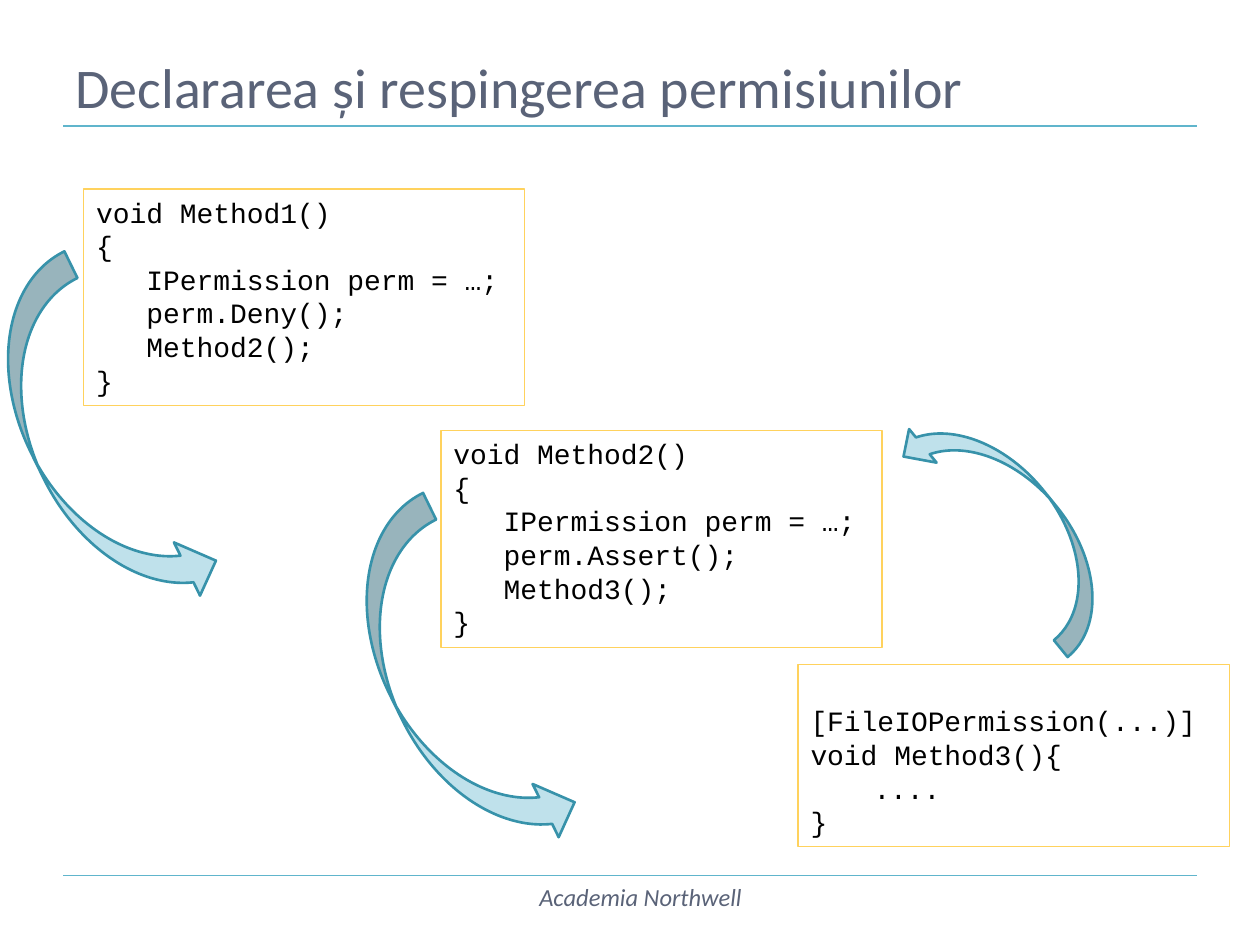
from typing import NamedTuple

from pptx import Presentation
from pptx.dml.color import RGBColor
from pptx.enum.shapes import MSO_CONNECTOR, MSO_SHAPE
from pptx.enum.text import MSO_ANCHOR as ANCHOR, PP_ALIGN as ALIGN
from pptx.oxml.ns import qn
from pptx.util import Cm, Pt
from lxml.etree import SubElement

SLATE = RGBColor(0x5A, 0x63, 0x78)
BLACK = RGBColor(0x00, 0x00, 0x00)
RULE = RGBColor(0x60, 0xB5, 0xCC)
YELLOW = RGBColor(0xFF, 0xD2, 0x5D)
PALE = RGBColor(0xBF, 0xE1, 0xEB)
TEAL = RGBColor(0x37, 0x92, 0xAA)

TITLE = {"name": "Calibri", "size": Pt(32)}
FOOTER = {"name": "Calibri", "size": Pt(14), "italic": True}
CODE = {"name": "Courier New", "size": Pt(16)}


class Box(NamedTuple):
    left: float
    top: float
    width: float
    height: float


class CodeBlock(NamedTuple):
    box: Box
    lines: list[str]


class Arrow(NamedTuple):
    box: Box
    rotation: float


def method(name: str, action: str, callee: str) -> list[str]:
    return [
        f"void {name}()",
        "{",
        "   IPermission perm = …;",
        f"   perm.{action}();",
        f"   {callee}();",
        "}",
    ]


RULES = [17.65, 2.54]
BLOCKS = [
    CodeBlock(Box(1.69, 3.81, 8.89, 4.37), method("Method1", "Deny", "Method2")),
    CodeBlock(Box(8.89, 8.68, 8.89, 4.37), method("Method2", "Assert", "Method3")),
    CodeBlock(
        Box(16.09, 13.39, 8.69, 3.68),
        ["    [FileIOPermission(...)]", "void Method3(){", "\t....", "}"],
    ),
]
ARROWS = [
    Arrow(Box(0.69, 5.21, 2.39, 7.54), 333.9),
    Arrow(Box(7.92, 10.08, 2.39, 7.54), 333.9),
    Arrow(Box(19.53, 7.67, 1.75, 5.66), 140.7),
]


def add_rule(s, y: float) -> None:
    line = s.shapes.add_connector(
        MSO_CONNECTOR.STRAIGHT, Cm(1.27), Cm(y), Cm(24.13), Cm(y)
    )
    line.line.color.rgb = RULE
    line.line.width = Pt(0.75)
    SubElement(line._element.spPr, qn("a:effectLst"))


def add_text(s, box: Box, lines: list[str], fmt: dict, color: RGBColor,
             align=ALIGN.LEFT, anchor=ANCHOR.TOP):
    sp = s.shapes.add_textbox(*map(Cm, box))
    tf = sp.text_frame
    tf.word_wrap = True
    tf.vertical_anchor = anchor
    for i, line in enumerate(lines):
        p = tf.paragraphs[0] if i == 0 else tf.add_paragraph()
        p.alignment = align
        r = p.add_run()
        r.text = line
        for key, value in fmt.items():
            setattr(r.font, key, value)
        r.font.color.rgb = color
    return sp


def add_code(s, block: CodeBlock) -> None:
    sp = add_text(s, block.box, block.lines, CODE, BLACK)
    sp.line.color.rgb = YELLOW
    sp.line.width = Pt(0.75)


def add_arrow(s, arrow: Arrow) -> None:
    sp = s.shapes.add_shape(MSO_SHAPE.CURVED_RIGHT_ARROW, *map(Cm, arrow.box))
    sp.rotation = arrow.rotation
    sp.shadow.inherit = False
    sp.fill.solid()
    sp.fill.fore_color.rgb = PALE
    sp.line.color.rgb = TEAL
    sp.line.width = Pt(1.5)


def main() -> None:
    prs = Presentation()
    prs.slide_width, prs.slide_height = Cm(25.4), Cm(19.05)
    s = prs.slides.add_slide(prs.slide_layouts[6])
    for y in RULES:
        add_rule(s, y)
    add_text(s, Box(1.27, 0.43, 22.86, 2.11),
             ["Declararea și respingerea permisiunilor"], TITLE, SLATE,
             anchor=ANCHOR.BOTTOM)
    add_text(s, Box(8.05, 17.65, 9.73, 1.02), ["Academia Northwell"],
             FOOTER, SLATE, ALIGN.CENTER)
    for block in BLOCKS:
        add_code(s, block)
    for arrow in ARROWS:
        add_arrow(s, arrow)
    prs.save("out.pptx")


if __name__ == "__main__":
    main()
